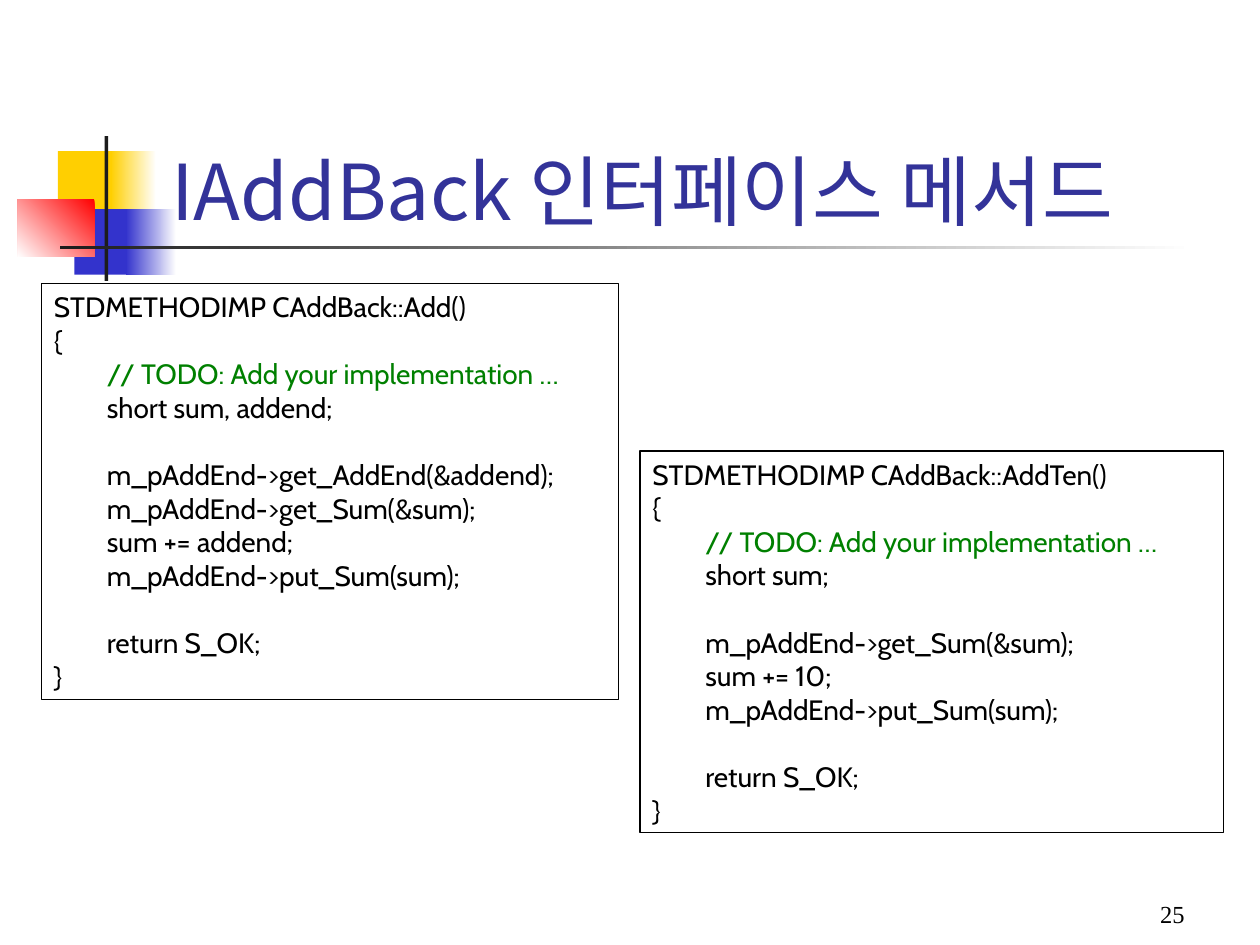
from pptx import Presentation
from pptx.dml.color import RGBColor
from pptx.enum.shapes import MSO_SHAPE as SHAPE
from pptx.enum.text import MSO_ANCHOR as ANCHOR, MSO_AUTO_SIZE as AUTO, PP_ALIGN as ALIGN
from pptx.util import Inches, Pt

COLORS = {
    "yellow": "FFCF01", "blue": "3333CC", "red": "FF0000", "white": "FFFFFF",
    "dark": "1C1C1C", "title": "333399", "code": "000000", "comment": "008000",
}
CODE_SIZE = 16
CODE_LINE = 19.2  # height of one line of code, in points
TAB = 0.42

# Left, top, width, height, start colour, end colour, gradient angle
ORNAMENTS = [
    (0.46, 1.2, 0.48, 0.52, "yellow", None, 0),
    (0.88, 1.2, 0.36, 0.52, "white", "yellow", 180),
    (0.59, 1.66, 0.46, 0.52, "blue", None, 0),
    (1, 1.66, 0.4, 0.52, "white", "blue", 180),
    (0.14, 1.58, 0.61, 0.46, "red", "white", 225),
    (0.83, 1.08, 0.03, 1.15, "dark", None, 0),
    (0.48, 1.95, 9, 0.03, "white", "dark", 180),
]

# Each method body is a list of groups, set apart by one line
TODO = "// TODO: Add your implementation …"
ADD = [
    [TODO, "short sum, addend;"],
    ["m_pAddEnd->get_AddEnd(&addend);", "m_pAddEnd->get_Sum(&sum);",
     "sum += addend;", "m_pAddEnd->put_Sum(sum);"],
    ["return S_OK;"],
]
ADD_TEN = [
    [TODO, "short sum;"],
    ["m_pAddEnd->get_Sum(&sum);", "sum += 10;", "m_pAddEnd->put_Sum(sum);"],
    ["return S_OK;"],
]


def color(name):
    return RGBColor.from_string(COLORS[name])


def add_run(p, text, size, font, name):
    r = p.add_run()
    r.text = text
    r.font.size = Pt(size)
    r.font.name = font
    r.font.color.rgb = color(name)
    return r


def add_box(s, left, top, width, height):
    sp = s.shapes.add_shape(SHAPE.RECTANGLE, *map(Inches, (left, top, width, height)))
    sp.shadow.inherit = False
    return sp


def add_ornament(s, left, top, width, height, start, end, angle):
    sp = add_box(s, left, top, width, height)
    sp.line.fill.background()
    if end is None:
        sp.fill.solid()
        sp.fill.fore_color.rgb = color(start)
        return
    sp.fill.gradient()
    sp.fill.gradient_angle = angle
    for stop, name, position in zip(sp.fill.gradient_stops, (start, end), (0, 1)):
        stop.color.rgb = color(name)
        stop.position = position


def add_title(s, text):
    sp = s.shapes.title
    sp.left, sp.top, sp.width, sp.height = map(Inches, (1.26, 0.67, 8.52, 1.25))
    tf = sp.text_frame
    tf.auto_size = AUTO.NONE
    tf.vertical_anchor = ANCHOR.BOTTOM
    p = tf.paragraphs[0]
    p.alignment = ALIGN.LEFT
    font = "Noto Sans CJK KR"
    r = add_run(p, text, 44, font, "title")
    # Hangul takes the East Asian font
    ea = r.font._element.makeelement(
        "{http://schemas.openxmlformats.org/drawingml/2006/main}ea", {"typeface": font})
    r.font._element.append(ea)


def add_method(s, left, top, width, height, signature, groups):
    sp = add_box(s, left, top, width, height)
    sp.fill.background()
    sp.line.color.rgb = color("code")
    sp.line.width = Pt(0.75)
    tf = sp.text_frame
    tf.word_wrap = True
    tf.vertical_anchor = ANCHOR.TOP

    # Text, indent, space before
    lines = [(signature, 0, 0), ("{", 0, 0)]
    for g, group in enumerate(groups):
        for i, text in enumerate(group):
            lines.append((text, TAB, CODE_LINE if g and not i else 0))
    lines.append(("}", 0, 0))

    for i, (text, indent, gap) in enumerate(lines):
        p = tf.add_paragraph() if i else tf.paragraphs[0]
        p.alignment = ALIGN.LEFT
        p.space_before = Pt(gap)
        p._p.get_or_add_pPr().set("marL", str(Inches(indent)))
        name = "comment" if text.startswith("//") else "code"
        add_run(p, text, CODE_SIZE, "Cabin", name)


def add_page_number(s, number):
    sp = s.shapes.add_textbox(*map(Inches, (7.42, 6.92, 2.08, 0.5)))
    tf = sp.text_frame
    tf.word_wrap = True
    tf.vertical_anchor = ANCHOR.BOTTOM
    p = tf.paragraphs[0]
    p.alignment = ALIGN.RIGHT
    add_run(p, number, 14, "Times New Roman", "code")


def main():
    prs = Presentation()
    prs.slide_width, prs.slide_height = Inches(10), Inches(7.5)
    s = prs.slides.add_slide(prs.slide_layouts[5])

    # Coloured squares and rules beside the title
    for ornament in ORNAMENTS:
        add_ornament(s, *ornament)
    add_title(s, "IAddBack 인터페이스 메서드")

    # Code of the two methods
    add_method(s, 0.33, 2.25, 4.58, 3.3, "STDMETHODIMP CAddBack::Add()", ADD)
    add_method(s, 5.08, 3.58, 4.63, 3.03, "STDMETHODIMP CAddBack::AddTen()", ADD_TEN)

    add_page_number(s, "25")
    prs.save("out.pptx")


if __name__ == "__main__":
    main()
